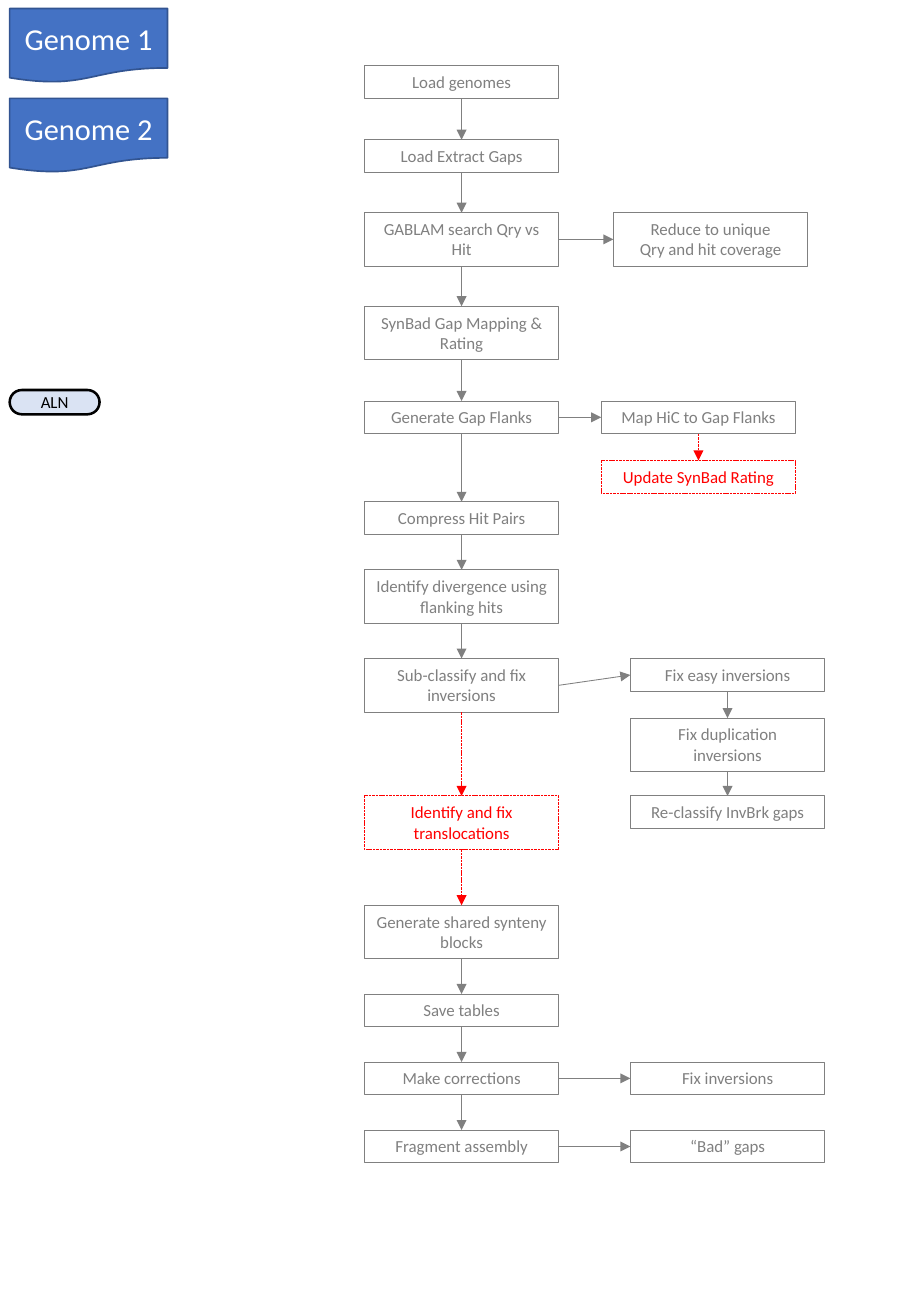
"""Draw the synteny workflow as a flowchart with side branches and input symbols."""
import pptx
import pptx.util
import pptx.dml.color
import pptx.enum.dml
import pptx.enum.shapes
import pptx.enum.text
import pptx.oxml

PX = 9144
COLORS = {"done": "808080", "planned": "FF0000", "genome": "4472C4", "genome_line": "325491",
          "aln": "DAE3F3", "black": "000000", "white": "FFFFFF"}
SHAPE = pptx.enum.shapes.MSO_SHAPE
TOP, LEFT, BOTTOM, RIGHT = range(4)
STEP_W, LINE_H, PAD_H = 160, 17, 10

MAIN_STEPS = [
    (0, 1, "Load genomes", "done"),
    (34, 1, "Load Extract Gaps", "done"),
    (33, 2, "GABLAM search Qry vs Hit", "done"),
    (33, 2, "SynBad Gap Mapping & Rating", "done"),
    (34, 1, "Generate Gap Flanks", "done"),
    (56, 1, "Compress Hit Pairs", "done"),
    (29, 2, "Identify divergence using flanking hits", "done"),
    (29, 2, "Sub-classify and fix inversions", "done"),
    (69, 2, "Identify and fix translocations", "planned"),
    (46, 2, "Generate shared synteny blocks", "done"),
    (29, 1, "Save tables", "done"),
    (29, 1, "Make corrections", "done"),
    (29, 1, "Fragment assembly", "done"),
]
BRANCHES = {
    "GABLAM search Qry vs Hit": (45, [(0, 2, "Reduce to unique\nQry and hit coverage", "done")]),
    "Generate Gap Flanks": (35, [(0, 1, "Map HiC to Gap Flanks", "done"),
                                 (22, 1, "Update SynBad Rating", "planned")]),
    "Sub-classify and fix inversions": (59, [(0, 1, "Fix easy inversions", "done"),
                                             (22, 2, "Fix duplication inversions", "done"),
                                             (20, 1, "Re-classify InvBrk gaps", "done")]),
    "Make corrections": (59, [(0, 1, "Fix inversions", "done")]),
    "Fragment assembly": (59, [(0, 1, "“Bad” gaps", "done")]),
}


def rgb(name):
    """Return the named colour."""
    return pptx.dml.color.RGBColor.from_string(COLORS[name])


def set_line(line, color, width, dashed=False):
    """Style an outline or connector line."""
    line.color.rgb = rgb(color)
    line.width = pptx.util.Pt(width)
    if dashed:
        line.dash_style = pptx.enum.dml.MSO_LINE.SQUARE_DOT


def add_box(s, kind, box, text, size, color, fill=None):
    """Add a preset shape with centred text."""
    sp = s.shapes.add_shape(kind, *(v * PX for v in box))
    sp.shadow.inherit = False
    if fill:
        sp.fill.solid()
        sp.fill.fore_color.rgb = rgb(fill)
    else:
        sp.fill.background()
    tf = sp.text_frame
    tf.word_wrap = True
    tf.text = text
    for p in tf.paragraphs:
        p.alignment = pptx.enum.text.PP_ALIGN.CENTER
        p.font.name = "Calibri"
        p.font.size = pptx.util.Pt(size)
        p.font.color.rgb = rgb(color)
    return sp


def add_arrow(s, start, start_site, end, end_site, status):
    """Join two shapes with an arrow."""
    cxn = s.shapes.add_connector(pptx.enum.shapes.MSO_CONNECTOR.STRAIGHT, 0, 0, 0, 0)
    cxn.begin_connect(start, start_site)
    cxn.end_connect(end, end_site)
    set_line(cxn.line, status, 0.5, status == "planned")
    ln = cxn.line._get_or_add_ln()
    pptx.oxml.ns.qn("a:tailEnd")
    ln.append(ln.makeelement(pptx.oxml.ns.qn("a:tailEnd"), {"type": "triangle"}))
    sp_pr = ln.getparent()
    sp_pr.append(sp_pr.makeelement(pptx.oxml.ns.qn("a:effectLst"), {}))


def add_chain(s, x, y, steps):
    """Stack steps downwards from a corner, linked by arrows, and return boxes by text."""
    boxes, previous = {}, None
    for gap, lines, text, status in steps:
        y += gap
        height = PAD_H + lines * LINE_H
        sp = add_box(s, SHAPE.RECTANGLE, (x, y, STEP_W, height), text, 10, status)
        set_line(sp.line, status, 0.5, status == "planned")
        sp.text_frame.vertical_anchor = pptx.enum.text.MSO_ANCHOR.TOP
        sp.text_frame.auto_size = pptx.enum.text.MSO_AUTO_SIZE.SHAPE_TO_FIT_TEXT
        if previous:
            add_arrow(s, previous, BOTTOM, sp, TOP, "planned" if "planned" in (status, last) else "done")
        boxes[text] = previous = sp
        last = status
        y += height
    return boxes


def add_workflow(s, x, y):
    """Draw the main column and the branches to its right."""
    main_boxes = add_chain(s, x, y, MAIN_STEPS)
    for name, (gap, steps) in BRANCHES.items():
        parent = main_boxes[name]
        branch = add_chain(s, x + STEP_W + gap, parent.top // PX, steps)
        add_arrow(s, parent, RIGHT, branch[steps[0][2]], LEFT, "done")


def add_inputs(s, x, y):
    """Draw the genome documents and the alignment pill."""
    for i in range(2):
        sp = add_box(s, SHAPE.FLOWCHART_DOCUMENT, (x, y + 74 * i, 130, 61),
                     f"Genome {i + 1}", 18, "white", "genome")
        set_line(sp.line, "genome_line", 1)
    pill = add_box(s, SHAPE.ROUNDED_RECTANGLE, (x, y + 314, 74, 20), "ALN", 10, "black", "aln")
    pill.adjustments[0] = 0.5
    set_line(pill.line, "black", 1.5)
    tf = pill.text_frame
    tf.margin_left = tf.margin_right = tf.margin_top = tf.margin_bottom = 0


def main():
    """Build and save the slide."""
    prs = pptx.Presentation()
    prs.slide_width, prs.slide_height = 750 * PX, 1083 * PX
    s = prs.slides.add_slide(prs.slide_layouts[6])
    add_workflow(s, 300, 54)
    add_inputs(s, 8, 7)
    prs.save("out.pptx")


if __name__ == "__main__":
    main()
